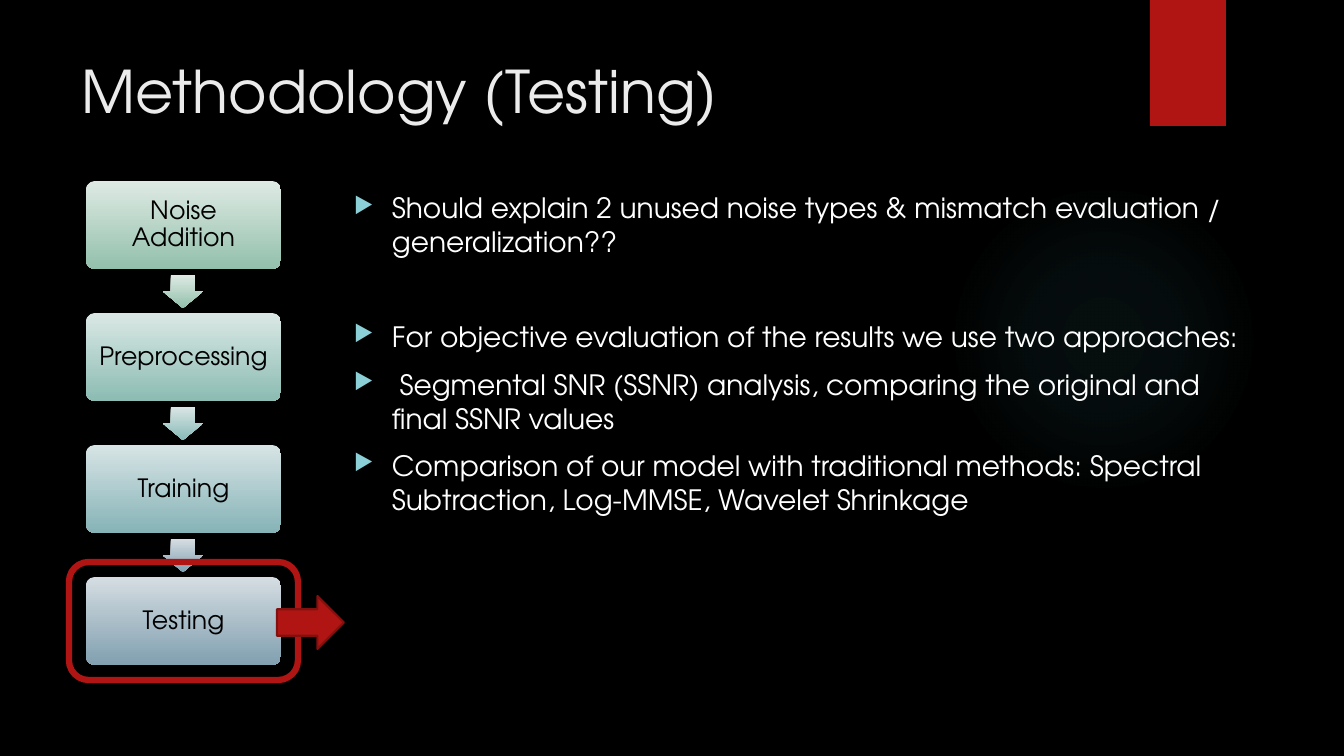
"""Build the Methodology (Testing) slide with its four-step process and notes."""
from dataclasses import dataclass

from lxml.etree import SubElement
from pptx import Presentation
from pptx.dml.color import RGBColor
from pptx.enum.shapes import MSO_SHAPE as Preset
from pptx.enum.text import MSO_ANCHOR as Anchor, PP_ALIGN as Align
from pptx.oxml import parse_xml
from pptx.oxml.ns import nsdecls, qn
from pptx.shapes.autoshape import Shape
from pptx.slide import Slide
from pptx.text.text import TextFrame, _Paragraph as Paragraph
from pptx.util import Emu, Pt

SLIDE_WIDTH, SLIDE_HEIGHT = 1344, 756
EMU_PER_PX = 12192000 / SLIDE_WIDTH
FONT = "TeX Gyre Adventor"
COLORS = {
    "background": "000000",
    "title": "EBEBEB",
    "body": "FFFFFF",
    "step_text": "000000",
    "bullet": "8AD0D6",
    "glow": "50B9C1",
    "accent": "B01513",
    "accent_edge": "82100E",
}
STEP_LEFT, STEP_TOP, STEP_WIDTH, STEP_HEIGHT, STEP_PITCH = 86, 181, 195, 88, 132
ARROW_WIDTH, ARROW_HEIGHT, ARROW_GAP = 40, 33, 6
BULLET_INDENT = 38


@dataclass(frozen=True)
class Box:
    left: int
    top: int
    width: int
    height: int


@dataclass(frozen=True)
class Step:
    label: str
    light: str
    dark: str
    arrow_light: str = ""
    arrow_dark: str = ""


@dataclass(frozen=True)
class Point:
    text: str
    space_before: int = 10


STEPS = [
    Step("Noise Addition", "DEEAE4", "93C0AC", "DEEAE4", "93C0AC"),
    Step("Preprocessing", "DAE8E5", "8CBCB3", "D9E6E5", "88BAB7"),
    Step("Training", "D7E4E5", "86B3B7", "D5DDE2", "81A0B0"),
    Step("Testing", "D5DDE2", "81A0B0"),
]
POINTS = [
    Point("Should explain 2 unused noise types & mismatch evaluation / generalization??"),
    Point("For objective evaluation of the results we use two approaches:", 44),
    Point(" Segmental SNR (SSNR) analysis, comparing the original and final SSNR values"),
    Point("Comparison of our model with traditional methods: Spectral Subtraction, "
          "Log-MMSE, Wavelet Shrinkage"),
]


def px(length: float) -> Emu:
    return Emu(round(length * EMU_PER_PX))


def rgb(color: str) -> RGBColor:
    return RGBColor.from_string(color)


def place(box: Box) -> tuple[Emu, Emu, Emu, Emu]:
    return px(box.left), px(box.top), px(box.width), px(box.height)


def add_preset(slide: Slide, preset: Preset, box: Box) -> Shape:
    shape = slide.shapes.add_shape(preset, *place(box))
    shape.shadow.inherit = False
    shape.line.fill.background()
    return shape


def fill_solid(shape: Shape, color: str) -> None:
    shape.fill.solid()
    shape.fill.fore_color.rgb = rgb(color)


def fill_downward(shape: Shape, light: str, dark: str) -> None:
    shape.fill.gradient()
    shape.fill.gradient_angle = 270
    for stop, color in zip(shape.fill.gradient_stops, (light, dark)):
        stop.color.rgb = rgb(color)


def outline(shape: Shape, color: str, width: float) -> None:
    shape.line.color.rgb = rgb(color)
    shape.line.width = Pt(width)


def style(paragraph: Paragraph, size: int, color: str) -> None:
    paragraph.font.name = FONT
    paragraph.font.size = Pt(size)
    paragraph.font.color.rgb = rgb(color)


def add_text_frame(slide: Slide, box: Box) -> TextFrame:
    frame = slide.shapes.add_textbox(*place(box)).text_frame
    frame.word_wrap = True
    return frame


def add_glow(slide: Slide) -> None:
    glow = add_preset(slide, Preset.OVAL, Box(949, 184, 310, 310))
    stops = "".join(
        f'<a:gs pos="{position}000"><a:srgbClr val="{COLORS["glow"]}">'
        f'<a:alpha val="{alpha}000"/></a:srgbClr></a:gs>'
        for position, alpha in ((0, 7), (36, 6), (69, 0))
    )
    gradient = parse_xml(
        f'<a:gradFill {nsdecls("a")}><a:gsLst>{stops}</a:gsLst><a:path path="circle">'
        '<a:fillToRect l="50000" t="50000" r="50000" b="50000"/></a:path></a:gradFill>'
    )
    glow._element.spPr.find(qn("a:prstGeom")).addnext(gradient)


def add_banner(slide: Slide) -> None:
    banner = add_preset(slide, Preset.RECTANGLE, Box(1150, 0, 76, 126))
    fill_solid(banner, COLORS["accent"])
    effects = banner._element.spPr.find(qn("a:effectLst"))
    shadow = SubElement(effects, qn("a:outerShdw"), blurRad=str(Pt(3)),
                        dist=str(Pt(2)), dir="5400000", rotWithShape="0")
    tint = SubElement(shadow, qn("a:srgbClr"), val=COLORS["background"])
    SubElement(tint, qn("a:alpha"), val="45000")


def add_bullet(paragraph: Paragraph) -> None:
    properties = paragraph._p.get_or_add_pPr()
    properties.set("marL", str(px(BULLET_INDENT)))
    properties.set("indent", str(px(-BULLET_INDENT)))
    tint = SubElement(properties, qn("a:buClr"))
    SubElement(tint, qn("a:srgbClr"), val=COLORS["bullet"])
    SubElement(properties, qn("a:buSzPct"), val="80000")
    SubElement(properties, qn("a:buChar"), char="▶")


def add_points(slide: Slide) -> None:
    frame = add_text_frame(slide, Box(344, 186, 919, 508))
    for index, point in enumerate(POINTS):
        paragraph = frame.add_paragraph() if index else frame.paragraphs[0]
        paragraph.text = point.text
        add_bullet(paragraph)
        paragraph.space_before = Pt(point.space_before)
        style(paragraph, 20, COLORS["body"])


def add_step(slide: Slide, step: Step, top: int) -> None:
    card = add_preset(slide, Preset.ROUNDED_RECTANGLE,
                      Box(STEP_LEFT, top, STEP_WIDTH, STEP_HEIGHT))
    card.adjustments[0] = 0.1
    fill_downward(card, step.light, step.dark)
    frame = card.text_frame
    frame.word_wrap = True
    frame.vertical_anchor = Anchor.MIDDLE
    frame.margin_left = frame.margin_right = px(9)
    frame.margin_top = frame.margin_bottom = px(9)
    label = frame.paragraphs[0]
    label.text = step.label
    label.alignment = Align.CENTER
    label.line_spacing = 0.9
    style(label, 18, COLORS["step_text"])
    if step.arrow_light:
        arrow_left = STEP_LEFT + (STEP_WIDTH - ARROW_WIDTH) // 2
        arrow_top = top + STEP_HEIGHT + ARROW_GAP
        arrow = add_preset(slide, Preset.DOWN_ARROW,
                           Box(arrow_left, arrow_top, ARROW_WIDTH, ARROW_HEIGHT))
        arrow.adjustments[0] = 0.6
        fill_downward(arrow, step.arrow_light, step.arrow_dark)


def main() -> None:
    deck = Presentation()
    deck.slide_width, deck.slide_height = px(SLIDE_WIDTH), px(SLIDE_HEIGHT)
    slide = deck.slides.add_slide(deck.slide_layouts[6])
    slide.background.fill.solid()
    slide.background.fill.fore_color.rgb = rgb(COLORS["background"])

    add_glow(slide)
    add_banner(slide)
    title = add_text_frame(slide, Box(72, 50, 1037, 154)).paragraphs[0]
    title.text = "Methodology (Testing)"
    style(title, 42, COLORS["title"])
    add_points(slide)
    for index, step in enumerate(STEPS):
        add_step(slide, step, STEP_TOP + index * STEP_PITCH)

    highlight = add_preset(slide, Preset.ROUNDED_RECTANGLE, Box(69, 562, 229, 118))
    highlight.fill.background()
    outline(highlight, COLORS["accent"], 4.5)
    pointer = add_preset(slide, Preset.RIGHT_ARROW, Box(277, 596, 67, 53))
    fill_solid(pointer, COLORS["accent"])
    outline(pointer, COLORS["accent_edge"], 1.5)
    deck.save("out.pptx")


if __name__ == "__main__":
    main()
